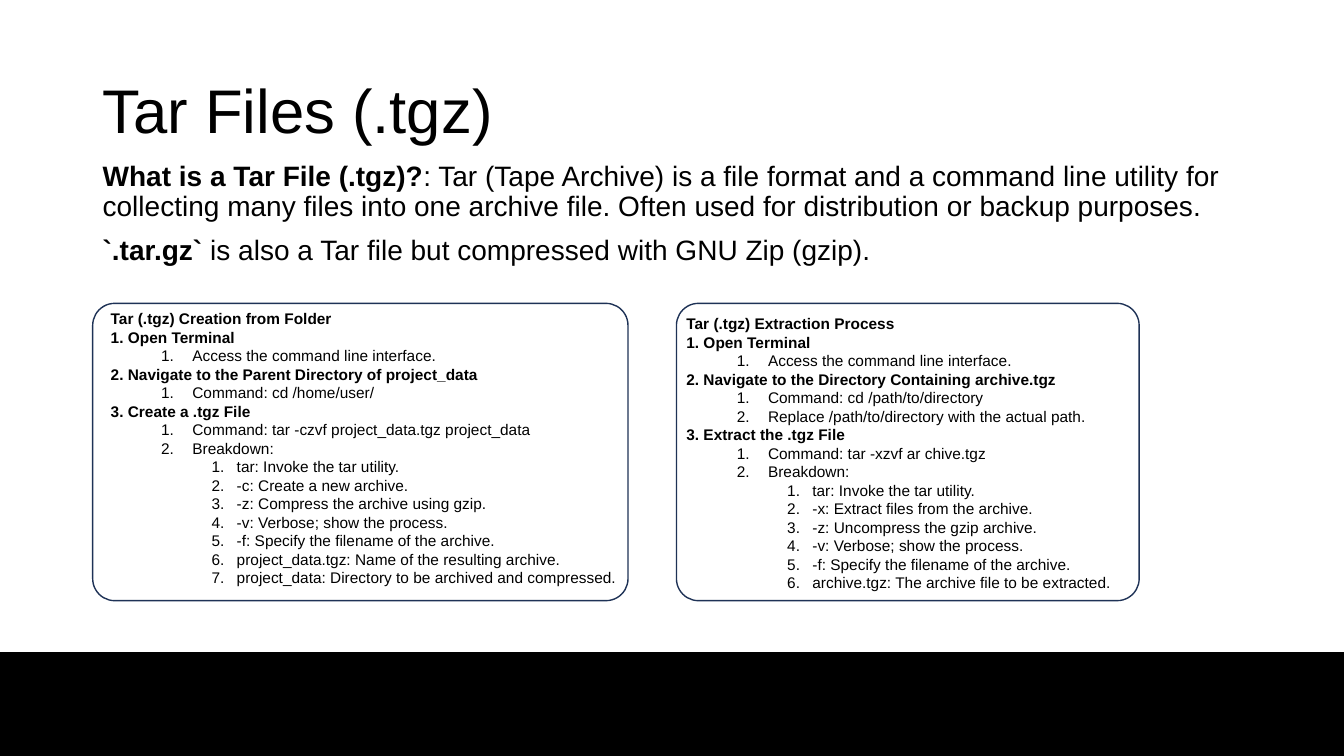
import pptx
import pptx.dml.color
import pptx.enum.shapes
import pptx.enum.text
import pptx.oxml.ns
import pptx.util
import lxml.etree

HUE = {"ink": "000000", "page": "FFFFFF", "edge": "1E3256"}
WIDE, HIGH = pptx.util.Inches(13.33), pptx.util.Inches(7.5)
INDENTS = [(0, 0), (0.81, -0.31), (1.25, -0.25)]  # inches, by list level
KINDS = pptx.enum.shapes.MSO_SHAPE

MAKE = [
    (0, "Open Terminal"),
    (1, "Access the command line interface."),
    (0, "Navigate to the Parent Directory of project_data"),
    (1, "Command: cd /home/user/"),
    (0, "Create a .tgz File"),
    (1, "Command: tar -czvf project_data.tgz project_data"),
    (1, "Breakdown:"),
    (2, "tar: Invoke the tar utility."),
    (2, "-c: Create a new archive."),
    (2, "-z: Compress the archive using gzip."),
    (2, "-v: Verbose; show the process."),
    (2, "-f: Specify the filename of the archive."),
    (2, "project_data.tgz: Name of the resulting archive."),
    (2, "project_data: Directory to be archived and compressed."),
]
UNPACK = [
    (0, "Open Terminal"),
    (1, "Access the command line interface."),
    (0, "Navigate to the Directory Containing archive.tgz"),
    (1, "Command: cd /path/to/directory"),
    (1, "Replace /path/to/directory with the actual path."),
    (0, "Extract the .tgz File"),
    (1, "Command: tar -xzvf ar chive.tgz"),
    (1, "Breakdown:"),
    (2, "tar: Invoke the tar utility."),
    (2, "-x: Extract files from the archive."),
    (2, "-z: Uncompress the gzip archive."),
    (2, "-v: Verbose; show the process."),
    (2, "-f: Specify the filename of the archive."),
    (2, "archive.tgz: The archive file to be extracted."),
]
ABOUT = [
    (None, [("What is a Tar File (.tgz)?", True),
            (": Tar (Tape Archive) is a file format and a command line utility for "
             "collecting many files into one archive file. Often used for "
             "distribution or backup purposes.", False)]),
    (None, [("`.tar.gz` ", True),
            ("is also a Tar file but compressed with GNU Zip (gzip).", False)]),
]


def color(name):
    return pptx.dml.color.RGBColor.from_string(HUE[name])


def place(box):
    """Turn percent shares of the slide into lengths."""
    left, top, width, height = box
    return [int(share * side / 100) for share, side in
            ((left, WIDE), (top, HIGH), (width, WIDE), (height, HIGH))]


def number(para, level):
    """Make the paragraph an item of a numbered list."""
    para.level = level
    props = para._p.get_or_add_pPr()
    for key, inch in zip(("marL", "indent"), INDENTS[level]):
        props.set(key, str(pptx.util.Inches(inch)))
    lxml.etree.SubElement(props, pptx.oxml.ns.qn("a:buAutoNum"), type="arabicPeriod")


def write(shapes, box, paras, size, lead=1.0, gap=0, anchor="TOP"):
    """Add text: each paragraph is (list level or None, [(words, bold), ...])."""
    frame = shapes.add_textbox(*place(box)).text_frame
    frame.word_wrap = True
    frame.vertical_anchor = pptx.enum.text.MSO_ANCHOR[anchor]
    for index, (level, runs) in enumerate(paras):
        para = frame.add_paragraph() if index else frame.paragraphs[0]
        if level is not None:
            number(para, level)
        para.line_spacing = lead
        if index:
            para.space_before = pptx.util.Pt(gap)
        for words, bold in runs:
            run = para.add_run()
            run.text = words
            run.font.name, run.font.bold = "Arial", bold
            run.font.size = pptx.util.Pt(size)
            run.font.color.rgb = color("ink")


def draw(shapes, kind, box, line, fill=None):
    shape = shapes.add_shape(kind, *place(box))
    shape.shadow.inherit = False
    shape.line.color.rgb = color(line)
    shape.line.width = pptx.util.Pt(1)
    if fill:
        shape.fill.solid()
        shape.fill.fore_color.rgb = color(fill)
    else:
        shape.fill.background()
    return shape


def panel(slide, box, title, steps, inset):
    """Group a rounded frame with its titled steps, inset by (across, down)."""
    left, top, _, height = box
    group = slide.shapes.add_group_shape().shapes
    paras = [(None, [(title, True)])]
    for level, words in steps:
        head = level == 0
        paras.append((level, [(" " + words if head else words, head)]))
    write(group, (left + inset[0], top + inset[1], 50, height - 1), paras, 11)
    draw(group, KINDS.ROUNDED_RECTANGLE, box, "edge").adjustments[0] = 0.074


def header(slide, left, width):
    write(slide.shapes, (left, 5.33, width, 19.33),
          [(None, [("Tar Files (.tgz)", False)])], 44, lead=0.9, anchor="MIDDLE")
    write(slide.shapes, (left, 20.8, width, 31.6), ABOUT, 20, lead=0.9, gap=10)


def main():
    deck = pptx.Presentation()
    deck.slide_width, deck.slide_height = WIDE, HIGH
    slide = deck.slides.add_slide(deck.slide_layouts[6])
    slide.background.fill.solid()
    slide.background.fill.fore_color.rgb = color("page")
    draw(slide.shapes, KINDS.RECTANGLE, (0, 86.3, 100, 13.7), "ink", fill="ink")
    left, top, height = 6.9, 40.13, 39.33
    header(slide, left, 86.27)
    panel(slide, (50.33, top, 34.43, height),
          "Tar (.tgz) Extraction Process", UNPACK, (0, 0.8))
    panel(slide, (left, top, 39.83, height),
          "Tar (.tgz) Creation from Folder", MAKE, (0.6, 0.13))
    deck.save("out.pptx")


if __name__ == "__main__":
    main()
